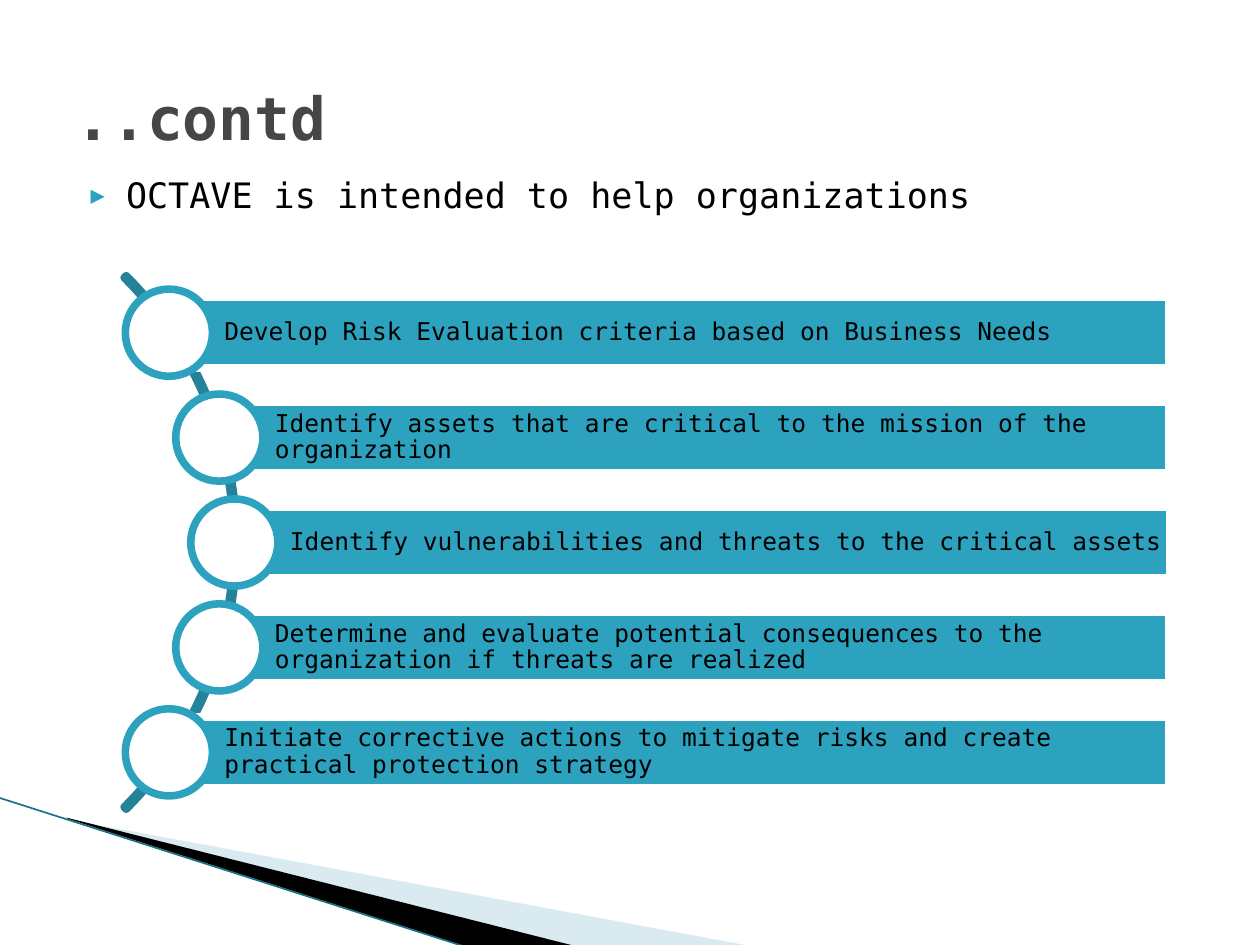
from typing import NamedTuple

from lxml.etree import SubElement
from pptx import Presentation
from pptx.dml.color import RGBColor
from pptx.enum.shapes import MSO_CONNECTOR as Connector, MSO_SHAPE as Preset
from pptx.enum.text import MSO_ANCHOR as Anchor, MSO_AUTO_SIZE as AutoSize, PP_ALIGN as Align
from pptx.oxml.ns import qn
from pptx.util import Pt

FONT = "DejaVu Sans Mono"
TEAL, DARK_TEAL, WHITE, BLACK = "2DA2BF", "248299", "FFFFFF", "000000"
OUTLINE = 4.33

BAR_TOP, BAR_STEP, BAR_HEIGHT, BAR_RIGHT = 170, 59.95, 40.2, 668.2
CIRCLE = 49.8
ARC_LEFT, ARC_TOP, ARC_SIZE = -296, 94.3, 431.3


class Goal(NamedTuple):
    left: float
    text: str


class Wedge(NamedTuple):
    points: list[tuple[float, float]]
    color: str
    opacity: int


GOALS = [
    Goal(96.5, "Develop Risk Evaluation criteria based on Business Needs"),
    Goal(125.3, "Identify assets that are critical to the mission of the organization"),
    Goal(133.9, "Identify vulnerabilities and threats to the critical assets"),
    Goal(125.3, "Determine and evaluate potential consequences to the organization if threats are realized"),
    Goal(96.5, "Initiate corrective actions to mitigate risks and create practical protection strategy"),
]
WEDGES = [
    Wedge([(39.6, 468.4), (428.4, 540.5), (328.3, 540.5), (39.6, 468)], "A0CBDC", 40),
    Wedge([(38.2, 467.3), (329, 540.7), (267.8, 541.4), (38.9, 468)], BLACK, 100),
]


def rgb(color: str) -> RGBColor:
    return RGBColor.from_string(color)


def write(frame, text: str, *, size: float, color: str = BLACK, bold: bool = False,
          align=Align.LEFT, anchor=Anchor.MIDDLE, spacing: float = 1.0, bullet: str = ""):
    frame.word_wrap = True
    frame.auto_size = AutoSize.NONE
    frame.vertical_anchor = anchor
    para = frame.paragraphs[0]
    para.alignment = align
    para.line_spacing = spacing
    para.space_before = Pt(0)
    if bullet:
        add_bullet(para, bullet)
    span = para.add_run()
    span.text = text
    font = span.font
    font.name, font.size, font.bold = FONT, Pt(size), bold
    font.color.rgb = rgb(color)


def add_bullet(para, symbol: str):
    props = para._p.get_or_add_pPr()
    props.set("marL", str(Pt(28.8)))
    props.set("indent", str(Pt(-20.2)))
    color = SubElement(props, qn("a:buClr"))
    SubElement(color, qn("a:srgbClr"), val=TEAL)
    SubElement(props, qn("a:buSzPct"), val="68000")
    SubElement(props, qn("a:buFont"), typeface=FONT)
    SubElement(props, qn("a:buChar"), char=symbol)


def place(box, left: float, top: float, width: float, height: float):
    box.left, box.top, box.width, box.height = Pt(left), Pt(top), Pt(width), Pt(height)


def add_box(page, preset, left: float, top: float, width: float, height: float,
            *, line: str, fill: str = ""):
    box = page.shapes.add_shape(preset, Pt(left), Pt(top), Pt(width), Pt(height))
    box.shadow.inherit = False
    if fill:
        box.fill.solid()
        box.fill.fore_color.rgb = rgb(fill)
    else:
        box.fill.background()
    box.line.color.rgb = rgb(line)
    box.line.width = Pt(OUTLINE)
    return box


def add_wedge(page, wedge: Wedge):
    start, *rest = [(Pt(x), Pt(y)) for x, y in wedge.points]
    builder = page.shapes.build_freeform(*start)
    builder.add_line_segments(rest, close=True)
    shape = builder.convert_to_shape()
    shape.shadow.inherit = False
    shape.line.fill.background()
    shape.fill.solid()
    shape.fill.fore_color.rgb = rgb(wedge.color)
    if wedge.opacity < 100:
        color = shape.fill._xPr.find(qn("a:solidFill"))[0]
        SubElement(color, qn("a:alpha"), val=str(wedge.opacity * 1000))


def add_edge(page, start: tuple[float, float], end: tuple[float, float], color: str):
    edge = page.shapes.add_connector(Connector.STRAIGHT, *map(Pt, start + end))
    edge.line.color.rgb = rgb(color)
    edge.line.width = Pt(0.95)
    SubElement(edge._element.spPr, qn("a:effectLst"))


def add_goal(page, goal: Goal, top: float):
    bar = add_box(page, Preset.RECTANGLE, goal.left, top, BAR_RIGHT - goal.left, BAR_HEIGHT,
                  line=WHITE, fill=TEAL)
    frame = bar.text_frame
    frame.margin_left = Pt(31.8)
    frame.margin_top = frame.margin_right = frame.margin_bottom = Pt(2.8)
    write(frame, goal.text, size=14, spacing=0.9)
    # The circle is centred on the left end of its bar
    add_box(page, Preset.OVAL, goal.left - CIRCLE / 2, top + (BAR_HEIGHT - CIRCLE) / 2,
            CIRCLE, CIRCLE, line=TEAL, fill=WHITE)


def main():
    deck = Presentation()
    deck.slide_width, deck.slide_height = Pt(720), Pt(540)
    page = deck.slides.add_slide(deck.slide_layouts[1])

    # Corner decoration
    for wedge in WEDGES:
        add_wedge(page, wedge)
    add_edge(page, (-0.7, 455.8), (267.1, 541.4), "1C7186")

    # Title and lead-in
    title, body = page.shapes.title, page.placeholders[1]
    place(title, 36, 21.6, 648, 90)
    write(title.text_frame, "..contd", size=34, color="464646", bold=True)
    place(body, 36, 95.8, 648, 377.3)
    write(body.text_frame, "OCTAVE is intended to help organizations", size=20,
          align=Align.JUSTIFY, anchor=Anchor.TOP, bullet="▶")

    # Arc with the goals along it
    arc = add_box(page, Preset.BLOCK_ARC, ARC_LEFT, ARC_TOP, ARC_SIZE, ARC_SIZE, line=DARK_TEAL)
    for index, value in enumerate((189, 27, 0.004)):
        arc.adjustments[index] = value
    for row, goal in enumerate(GOALS):
        add_goal(page, goal, BAR_TOP + row * BAR_STEP)

    deck.save("out.pptx")


if __name__ == "__main__":
    main()
